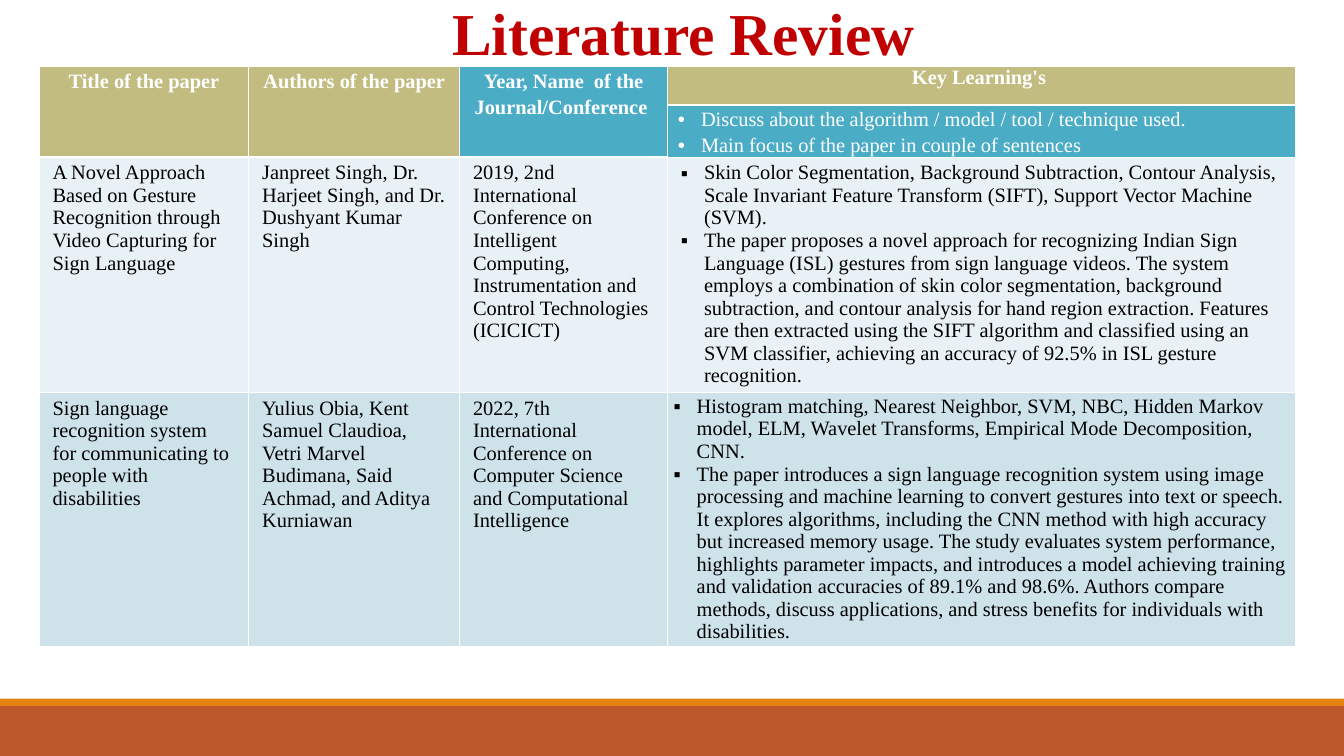
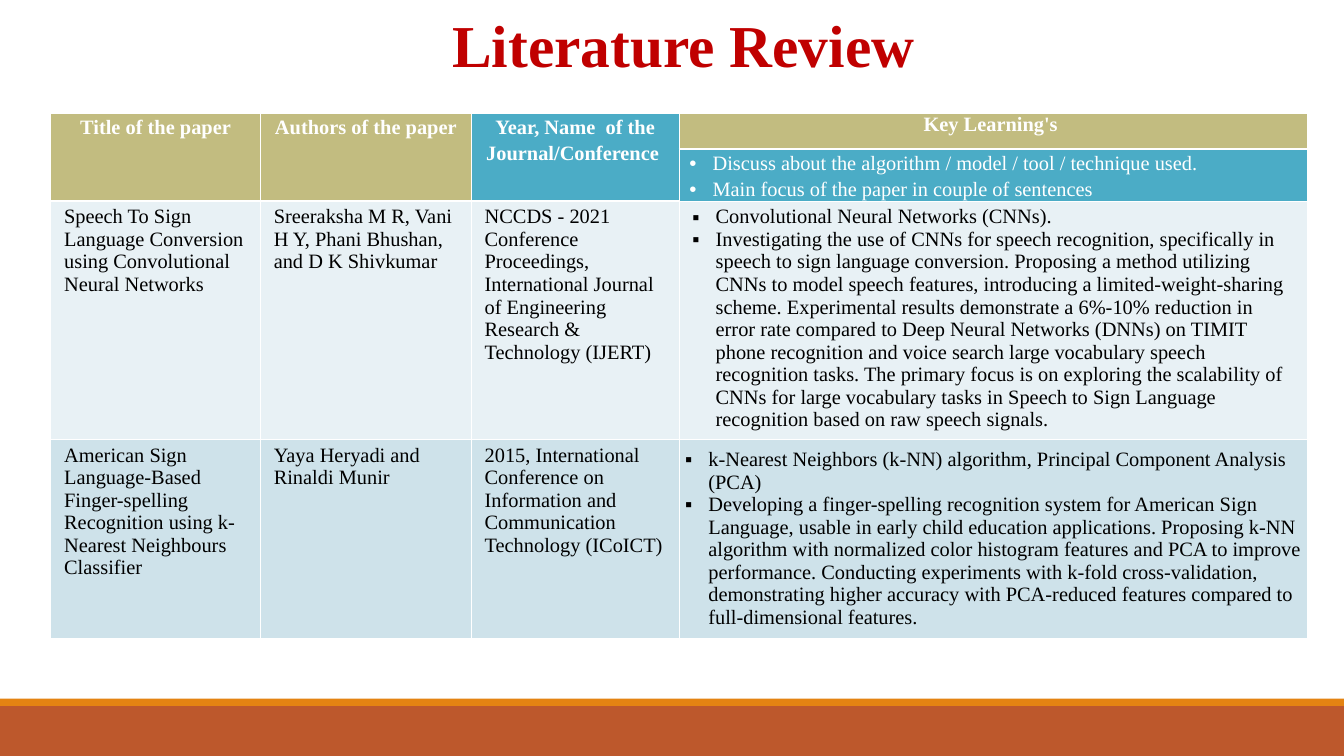
from lxml import etree
from pptx import Presentation
from pptx.dml.color import RGBColor
from pptx.enum import shapes, text
from pptx.oxml.ns import qn
from pptx.util import Inches, Pt

HUE = {
    "title": "C00000", "band": "BD582C", "stripe": "E48312",
    "olive": "C2BC80", "teal": "4BACC6", "pale": "E8F1F5", "mist": "CEE2EA",
    "white": "FFFFFF", "black": "000000",
}
FONT = "Times New Roman"
COLS = [3.43, 3.45, 3.4, 10.28]
KEY = len(COLS) - 1

# Header rows, the same on every slide
HEAD = [
    ["Title of the paper", "Authors of the paper",
     "Year, Name  of the Journal/Conference ", "Key Learning's "],
    [None, None, None,
     ["Discuss about the algorithm / model / tool / technique used.",
      "Main focus of the paper in couple of sentences"]],
]

# One entry per slide: title top, table corner, row heights, papers
PAGES = [
    (-0.2, (0.64, 1.09), [0.63, 0.84, 3.85, 4.13], [
        ["A Novel Approach Based on Gesture Recognition through Video "
         "Capturing for Sign Language",
         "Janpreet Singh, Dr. Harjeet Singh, and Dr. Dushyant Kumar Singh",
         "2019, 2nd International Conference on Intelligent Computing, "
         "Instrumentation and Control Technologies (ICICICT)",
         ["Skin Color Segmentation, Background Subtraction, Contour Analysis, "
          "Scale Invariant Feature Transform (SIFT), Support Vector Machine "
          "(SVM).",
          "The paper proposes a novel approach for recognizing Indian Sign "
          "Language (ISL) gestures from sign language videos. The system "
          "employs a combination of skin color segmentation, background "
          "subtraction, and contour analysis for hand region extraction. "
          "Features are then extracted using the SIFT algorithm and "
          "classified using an SVM classifier, achieving an accuracy of "
          "92.5% in ISL gesture recognition."]],
        ["Sign language recognition system for communicating to people with "
         "disabilities",
         "Yulius Obia, Kent Samuel Claudioa, Vetri Marvel Budimana, Said "
         "Achmad, and Aditya Kurniawan",
         "2022, 7th International Conference on Computer Science and "
         "Computational Intelligence",
         ["Histogram matching, Nearest Neighbor, SVM, NBC, Hidden Markov "
          "model, ELM, Wavelet Transforms, Empirical Mode Decomposition, CNN.",
          "The paper introduces a sign language recognition system using "
          "image processing and machine learning to convert gestures into "
          "text or speech. It explores algorithms, including the CNN method "
          "with high accuracy but increased memory usage. The study evaluates "
          "system performance, highlights parameter impacts, and introduces a "
          "model achieving training and validation accuracies of 89.1% and "
          "98.6%. Authors compare methods, discuss applications, and stress "
          "benefits for individuals with disabilities."]],
    ]),
    (0, (0.83, 1.85), [0.59, 0.83, 3.9, 3.25], [
        ["Speech To Sign Language Conversion using Convolutional Neural "
         "Networks",
         "Sreeraksha M R, Vani H Y, Phani Bhushan, and D K Shivkumar",
         "NCCDS - 2021 Conference Proceedings, International Journal of "
         "Engineering Research & Technology (IJERT)",
         ["Convolutional Neural Networks (CNNs).",
          "Investigating the use of CNNs for speech recognition, specifically "
          "in speech to sign language conversion. Proposing a method utilizing "
          "CNNs to model speech features, introducing a limited-weight-sharing "
          "scheme. Experimental results demonstrate a 6%-10% reduction in "
          "error rate compared to Deep Neural Networks (DNNs) on TIMIT phone "
          "recognition and voice search large vocabulary speech recognition "
          "tasks. The primary focus is on exploring the scalability of CNNs "
          "for large vocabulary tasks in Speech to Sign Language recognition "
          "based on raw speech signals."]],
        ["American Sign Language-Based Finger-spelling Recognition using "
         "k-Nearest Neighbours Classifier",
         "Yaya Heryadi and Rinaldi Munir",
         "2015, International Conference on Information and Communication "
         "Technology (ICoICT)",
         ["k-Nearest Neighbors (k-NN) algorithm, Principal Component Analysis "
          "(PCA)",
          "Developing a finger-spelling recognition system for American Sign "
          "Language, usable in early child education applications. Proposing "
          "k-NN algorithm with normalized color histogram features and PCA to "
          "improve performance. Conducting experiments with k-fold "
          "cross-validation, demonstrating higher accuracy with PCA-reduced "
          "features compared to full-dimensional features."]],
    ]),
]


def write(para, words, size, hue, bold):
    run = para.add_run()
    run.text = words
    run.font.name = FONT
    run.font.size = Pt(size)
    run.font.bold = bold
    run.font.color.rgb = RGBColor.from_string(HUE[hue])


def edge(cell, side, width):
    line = etree.SubElement(cell._tc.get_or_add_tcPr(), qn("a:ln" + side),
                            w=str(Pt(width)))
    fill = etree.SubElement(line, qn("a:solidFill"))
    etree.SubElement(fill, qn("a:srgbClr"), val=HUE["white"])


deck = Presentation()
deck.slide_width, deck.slide_height = Inches(21.99), Inches(12.37)
layout = deck.slide_layouts[5]
slides = [deck.slides.add_slide(layout) for page in PAGES]

# Footer bands, moved into the layout that all slides share
for num, (top, high, hue) in enumerate([(11.55, 0.82, "band"),
                                        (11.43, 0.12, "stripe")]):
    band = slides[0].shapes.add_shape(
        shapes.MSO_SHAPE.RECTANGLE, 0, Inches(top), deck.slide_width,
        Inches(high))
    band.shadow.inherit = False
    band.fill.solid()
    band.fill.fore_color.rgb = RGBColor.from_string(HUE[hue])
    band.line.fill.background()
    band.element.nvSpPr.cNvPr.set("id", str(100 + num))
    layout.element.cSld.spTree.append(band.element)

for slide, (top, spot, highs, papers) in zip(slides, PAGES):
    # Title
    title = slide.shapes.title
    title.left, title.top = Inches(1.41), Inches(top)
    title.width, title.height = Inches(19.79), Inches(1.43)
    frame = title.text_frame
    frame.auto_size = text.MSO_AUTO_SIZE.NONE
    frame.vertical_anchor = text.MSO_ANCHOR.MIDDLE
    frame.margin_left = frame.margin_right = Inches(0.22)
    frame.margin_top = frame.margin_bottom = Inches(0.11)
    frame.paragraphs[0].alignment = text.PP_ALIGN.CENTER
    write(frame.paragraphs[0], "Literature Review ", 70, "title", True)

    # Table grid
    rows = HEAD + papers
    grid = slide.shapes.add_table(
        len(rows), len(COLS), Inches(spot[0]), Inches(spot[1]),
        Inches(sum(COLS)), Inches(sum(highs))).table
    for col, wide in zip(grid.columns, COLS):
        col.width = Inches(wide)
    for row, high in zip(grid.rows, highs):
        row.height = Inches(high)
    for c in range(KEY):
        grid.cell(0, c).merge(grid.cell(1, c))

    for r, row in enumerate(rows):
        for c, words in enumerate(row):
            cell = grid.cell(r, c)
            head = r < len(HEAD)

            # Borders: a heavy rule closes each top header cell
            last = 0 if c == KEY else 1
            edge(cell, "L", 1)
            edge(cell, "R", 1)
            edge(cell, "T", 3 if r == last + 1 else 1)
            edge(cell, "B", 3 if r <= last else 1)

            # Fill
            if head:
                hue = "teal" if c == 2 or r == 1 and c == KEY else "olive"
            else:
                hue = "pale" if r == 2 else "mist"
            cell.fill.solid()
            cell.fill.fore_color.rgb = RGBColor.from_string(HUE[hue])
            if words is None:
                continue

            # Margins and anchor
            if r == 3 and c == KEY:
                cell.vertical_anchor = text.MSO_ANCHOR.MIDDLE
            else:
                side, end = (0.17, 0) if head else (0.22, 0.08)
                cell.margin_left = cell.margin_right = Inches(side)
                cell.margin_top = cell.margin_bottom = Inches(end)

            # Text, a list being bulleted
            points = isinstance(words, list)
            frame = cell.text_frame
            for n, part in enumerate(words if points else [words]):
                para = frame.add_paragraph() if n else frame.paragraphs[0]
                if head and (r, c) != (0, KEY):
                    para.line_spacing = 1.15
                if points:
                    props = para._p.get_or_add_pPr()
                    props.set("marL", str(Inches(0.38)))
                    props.set("indent", str(-Inches(0.38)))
                    etree.SubElement(props, qn("a:buFont"), typeface="Arial")
                    etree.SubElement(props, qn("a:buChar"),
                                     char="•" if head else "▪")
                elif head:
                    para.alignment = text.PP_ALIGN.CENTER
                write(para, part, 24, "white" if head else "black",
                      head and not points)

deck.save("out.pptx")
